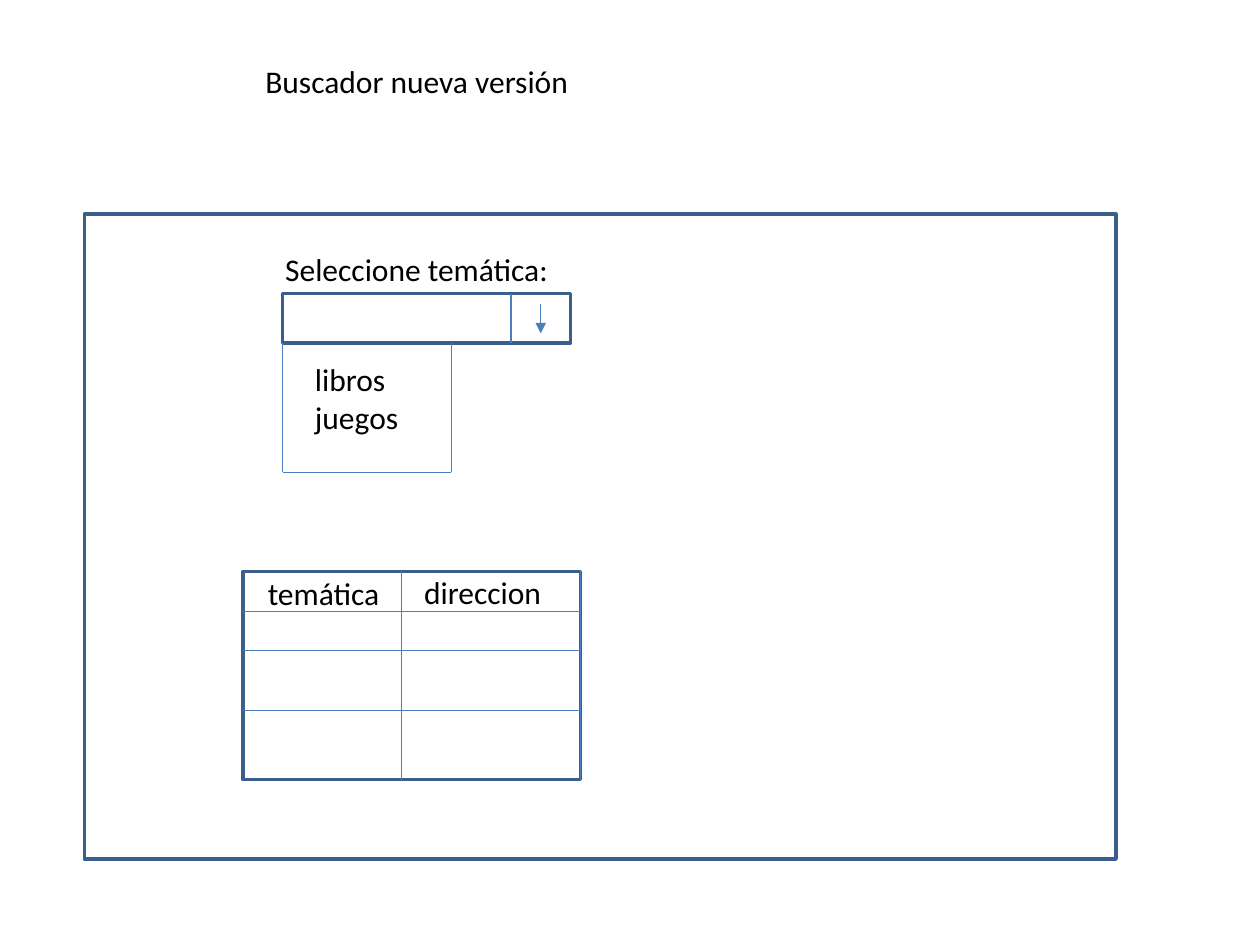
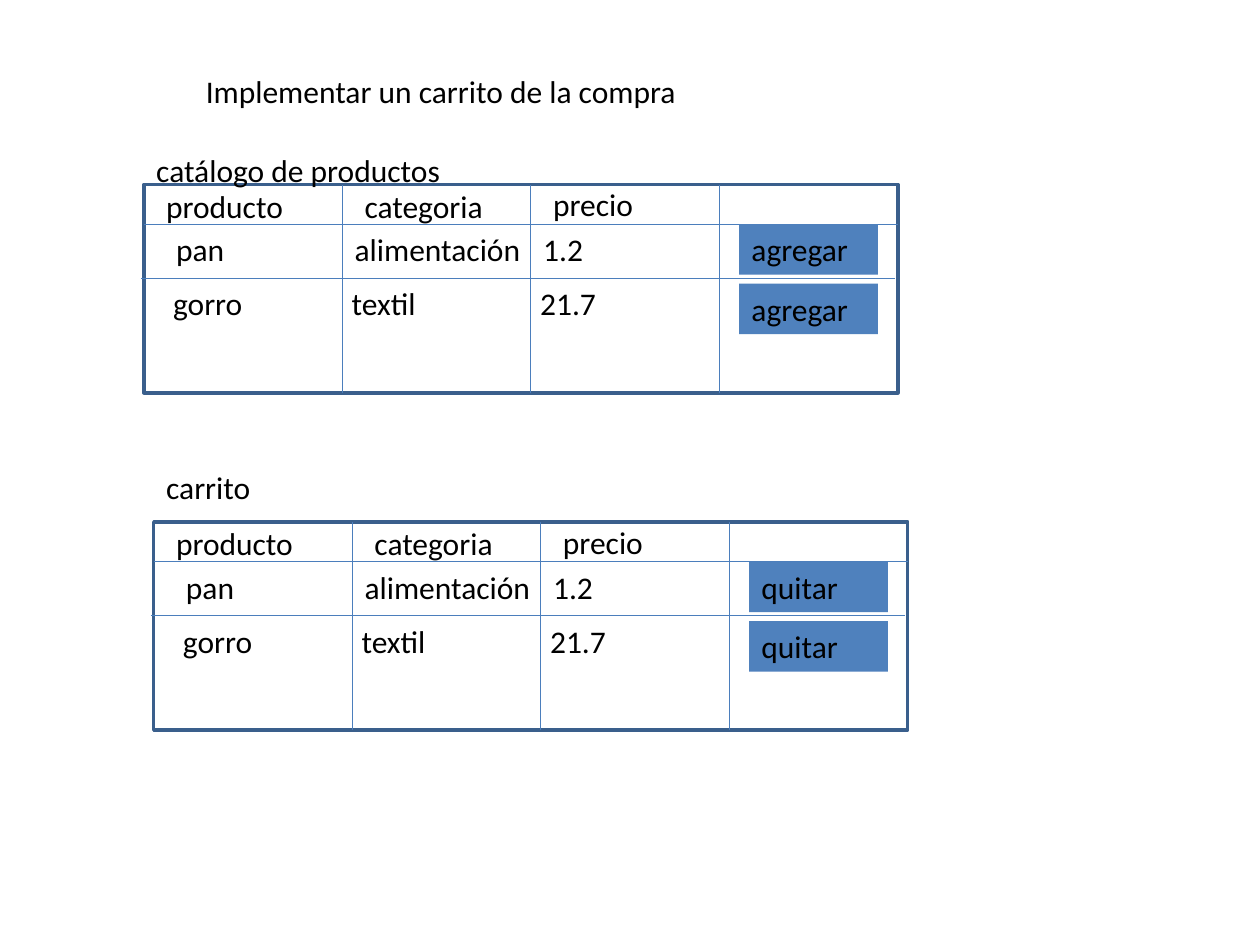
"""Build two wireframe slides: a topic search form and a shopping cart."""
from lxml.etree import SubElement
from pptx import Presentation
from pptx.dml.color import RGBColor
from pptx.enum.shapes import MSO_CONNECTOR as Connector, MSO_SHAPE as Shape
from pptx.enum.text import MSO_ANCHOR as Anchor, MSO_AUTO_SIZE as AutoSize, PP_ALIGN as Align
from pptx.oxml.ns import qn
from pptx.util import Cm, Pt

THEME = {
    "frame": RGBColor(0x3A, 0x5F, 0x8C),
    "rule": RGBColor(0x4B, 0x7E, 0xBC),
    "button": RGBColor(0x4F, 0x81, 0xBD),
    "frame_width": Pt(2),
    "rule_width": Pt(0.75),
    "font": {"name": "Calibri", "size": Pt(18)},
    "text": RGBColor(0, 0, 0),
    "frame_format": {"word_wrap": True, "auto_size": AutoSize.SHAPE_TO_FIT_TEXT,
                     "vertical_anchor": Anchor.TOP},
    "text_height": 1.02,
}

SEARCH = {
    "title": ("Buscador nueva versión", 5.1, 1.12, 15.2),
    "window": (1.7, 4.32, 20.8, 13),
    "prompt": ("Seleccione temática:", 5.5, 4.92, 7.6),
    "select": (5.7, 5.92, 5.8, 1),
    "arrow_cell": 1.2,
    "options": ["libros", "juegos"],
    "option_list": (3.4, 2.6),
    "results": (4.9, 11.52, 6.8, 4.2),
    "result_columns": [3.2, 6.8],
    "result_rows": [0.8, 1.6, 2.8],
    "headings": [("temática", 5.15, 11.45, 3.2), ("direccion", 8.3, 11.43, 3.2)],
}

CART_TITLE = ("Implementar un carrito de la compra", 3.9, 1.32, 18.4)
HEADINGS = [("producto", 0.08), ("categoria", 0.08), ("precio", 0.11)]
PRODUCTS = [("pan", "alimentación", "1.2"), ("gorro", "textil", "21.7")]
LISTS = [
    {"caption": "catálogo de productos", "gap": 0.8, "action": "agregar", "at": (2.9, 3.72)},
    {"caption": "carrito", "gap": 1.2, "action": "quitar", "at": (3.1, 10.52)},
]
LIST_SIZE = (15.2, 4.2)
COLUMNS = [0, 4, 7.8, 11.6]
HEADER_HEIGHT, ROW_STEP, ROW_SHIFT = 0.8, 1.09, 0.06
BUTTON_LEFT, BUTTON_STEP, BUTTON_WIDTH = 12, 1.2, 2.8


def apply(target, values):
    for name, value in values.items():
        setattr(target, name, value)


def write(shape, lines):
    frame = shape.text_frame
    apply(frame, THEME["frame_format"])
    for index, line in enumerate(lines):
        para = frame.add_paragraph() if index else frame.paragraphs[0]
        para.alignment = Align.LEFT
        span = para.add_run()
        span.text = line
        apply(span.font, THEME["font"])
        span.font.color.rgb = THEME["text"]


def add_text(page, text, left, top, width, height=THEME["text_height"]):
    box = page.shapes.add_textbox(Cm(left), Cm(top), Cm(width), Cm(height))
    write(box, [text] if isinstance(text, str) else text)


def add_rectangle(page, left, top, width, height):
    box = page.shapes.add_shape(Shape.RECTANGLE, Cm(left), Cm(top), Cm(width), Cm(height))
    box.shadow.inherit = False
    return box


def add_frame(page, *place):
    box = add_rectangle(page, *place)
    box.fill.background()
    box.line.color.rgb = THEME["frame"]
    box.line.width = THEME["frame_width"]


def add_button(page, text, left, top):
    box = add_rectangle(page, left, top, BUTTON_WIDTH, THEME["text_height"])
    box.fill.solid()
    box.fill.fore_color.rgb = THEME["button"]
    box.line.fill.background()
    write(box, [text])


def add_rule(page, x1, y1, x2, y2, arrow=False):
    rule = page.shapes.add_connector(Connector.STRAIGHT, Cm(x1), Cm(y1), Cm(x2), Cm(y2))
    rule.line.color.rgb = THEME["rule"]
    rule.line.width = THEME["rule_width"]
    if arrow:
        SubElement(rule.line._get_or_add_ln(), qn("a:tailEnd"), type="triangle")
    SubElement(rule._element.spPr, qn("a:effectLst"))


def add_grid(page, left, top, width, height, columns, rows):
    add_frame(page, left, top, width, height)
    for x in columns:
        add_rule(page, left + x, top, left + x, top + height)
    for y in rows:
        add_rule(page, left, top + y, left + width, top + y)


def add_select(page):
    left, top, width, height = SEARCH["select"]
    add_frame(page, left, top, width, height)
    cell = SEARCH["arrow_cell"]
    divider, bottom = left + width - cell, top + height
    add_rule(page, divider, top, divider, bottom)
    middle = divider + cell / 2
    add_rule(page, middle, top + 0.2, middle, bottom - 0.2, arrow=True)

    list_width, list_height = SEARCH["option_list"]
    right, end = left + list_width, bottom + list_height
    corners = [(left, bottom), (left, end), (right, end), (right, bottom)]
    for start, finish in zip(corners, corners[1:]):
        add_rule(page, *start, *finish)
    add_text(page, SEARCH["options"], left + 0.4, bottom + 0.22, 3.6, 1.8)


def build_search(page):
    add_text(page, *SEARCH["title"])
    add_frame(page, *SEARCH["window"])
    add_text(page, *SEARCH["prompt"])
    add_select(page)
    add_grid(page, *SEARCH["results"], SEARCH["result_columns"], SEARCH["result_rows"])
    for heading in SEARCH["headings"]:
        add_text(page, *heading)


def add_product_list(page, caption, gap, action, at):
    left, top = at
    width, height = LIST_SIZE
    add_grid(page, left, top, width, height, COLUMNS[1:], [HEADER_HEIGHT])
    for (heading, rise), column in zip(HEADINGS, COLUMNS):
        add_text(page, heading, left + column + 0.2, top - rise, 3.2)

    first_row = top + HEADER_HEIGHT
    for index, product in enumerate(PRODUCTS):
        row_left, row_top = left - index * ROW_SHIFT, first_row + index * ROW_STEP
        if index:
            add_rule(page, row_left, row_top, row_left + width, row_top)
        for number, (value, column) in enumerate(zip(product, COLUMNS)):
            indent, text_width = (0, 4) if number else (0.4, 3.2)
            add_text(page, value, row_left + column + indent, row_top, text_width)
        add_button(page, action, left + BUTTON_LEFT, first_row + index * BUTTON_STEP)
    add_text(page, caption, left, top - gap, 9.6)


def build_cart(page):
    add_text(page, *CART_TITLE)
    for products in LISTS:
        add_product_list(page, **products)


def main():
    deck = Presentation()
    apply(deck, {"slide_width": Cm(25.4), "slide_height": Cm(19.05)})
    for build in (build_search, build_cart):
        build(deck.slides.add_slide(deck.slide_layouts[6]))
    deck.save("out.pptx")


if __name__ == "__main__":
    main()
